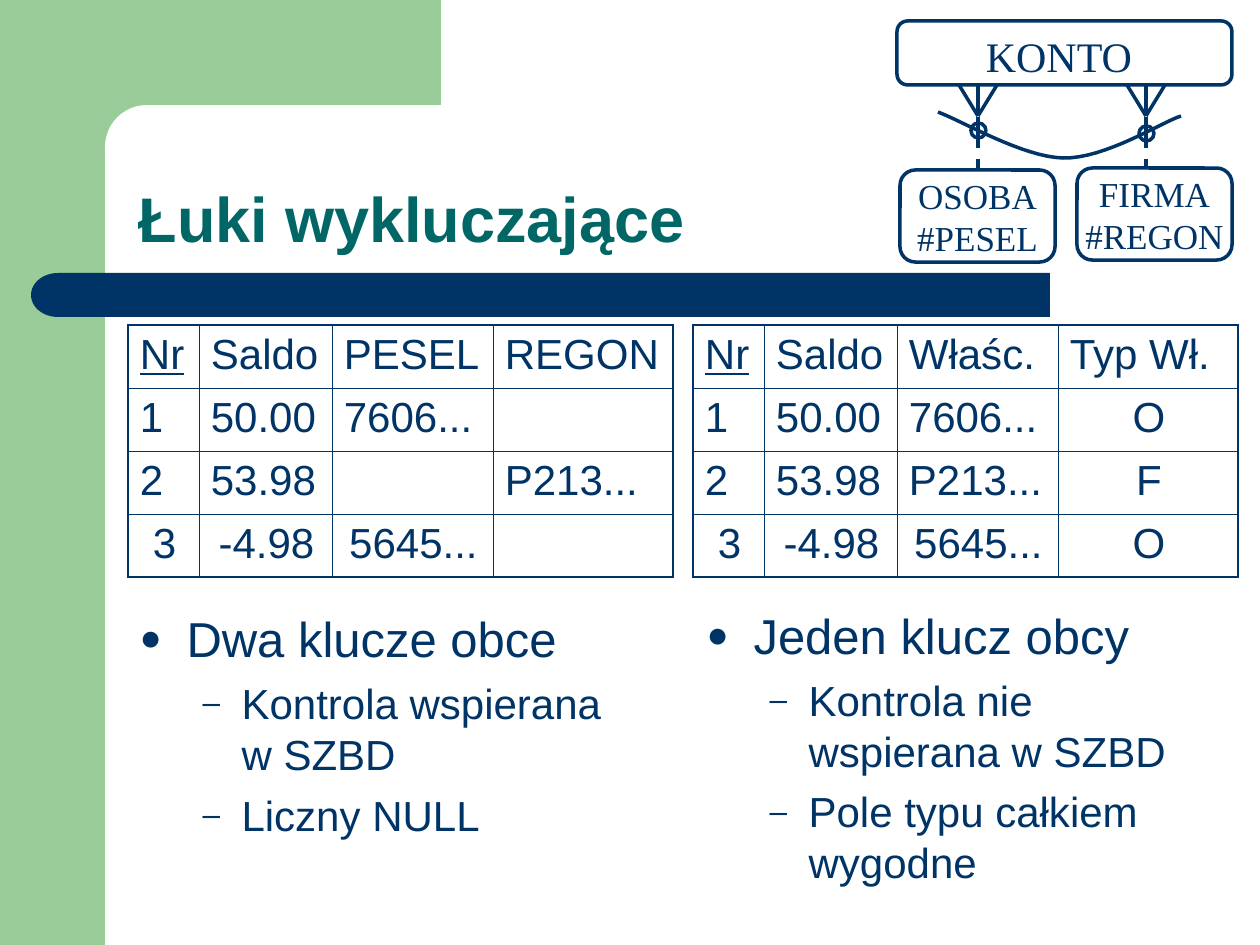
from lxml import etree
from pptx import Presentation
from pptx.dml.color import RGBColor
from pptx.enum.dml import MSO_LINE
from pptx.enum.shapes import MSO_CONNECTOR, MSO_SHAPE
from pptx.enum.text import MSO_ANCHOR, MSO_AUTO_SIZE, PP_ALIGN
from pptx.oxml.ns import qn
from pptx.util import Pt

RECT, ROUND, OVAL, DELAY = (MSO_SHAPE.RECTANGLE, MSO_SHAPE.ROUNDED_RECTANGLE,
                            MSO_SHAPE.OVAL, MSO_SHAPE.FLOWCHART_DELAY)
LEFT, CENTER = PP_ALIGN.LEFT, PP_ALIGN.CENTER
TOP, BOTTOM = MSO_ANCHOR.TOP, MSO_ANCHOR.BOTTOM
STRAIGHT, DASH, NO_FIT = MSO_CONNECTOR.STRAIGHT, MSO_LINE.DASH, MSO_AUTO_SIZE.NONE
PX = 914400 / 126
NAVY, TEAL, GREEN, WHITE = "003366", "006666", "99CC99", "FFFFFF"


def px(n):
    return round(n * PX)


def rgb(value):
    return RGBColor.from_string(value)


def write(p, text, size=24, font="Arial", color=NAVY, bold=False, underline=False,
          align=LEFT, before=0, spacing=1.0):
    p.alignment, p.line_spacing, p.space_before = align, spacing, Pt(before)
    r = p.add_run()
    r.text = text
    f = r.font
    f.size, f.name, f.bold, f.underline = Pt(size), font, bold, underline
    f.color.rgb = rgb(color)


def child(parent, tag, **attrs):
    return etree.SubElement(parent, qn(tag), attrs)


def bullet(p, char, margin, hang):
    pPr = p._p.get_or_add_pPr()
    pPr.set("marL", str(px(margin)))
    pPr.set("indent", str(-px(hang)))
    child(child(pPr, "a:buClr"), "a:srgbClr", val=NAVY)
    child(pPr, "a:buSzPct", val="75000")
    child(pPr, "a:buFont", typeface="Arial")
    child(pPr, "a:buChar", char=char)


def border(cell, sides):
    tcPr = cell._tc.get_or_add_tcPr()
    for i, (side, width) in enumerate(sides):
        ln = etree.Element(qn(f"a:ln{side}"), w=str(Pt(width)))
        child(child(ln, "a:solidFill"), "a:srgbClr", val=NAVY)
        tcPr.insert(i, ln)


def bezier(a, b, c, d, steps=16):
    for i in range(steps + 1):
        t = i / steps
        u = 1 - t
        yield tuple(u**3 * m + 3 * u * u * t * n + 3 * u * t * t * o + t**3 * q
                    for m, n, o, q in zip(a, b, c, d))


class Deck:
    """Draws styled elements on the current slide."""

    def __init__(self, slide, line_width=2):
        self.s, self.line_width = slide, line_width

    def outline(self, line):
        line.color.rgb, line.width = rgb(NAVY), Pt(self.line_width)

    def shape(self, kind, x, y, w, h, fill=None, line=False, corner=None, turn=0):
        sp = self.s.shapes.add_shape(kind, px(x), px(y), px(w), px(h))
        sp.shadow.inherit = False
        sp.rotation = turn
        if corner is not None:
            sp.adjustments[0] = corner
        if fill:
            sp.fill.solid()
            sp.fill.fore_color.rgb = rgb(fill)
        else:
            sp.fill.background()
        if line:
            self.outline(sp.line)
        else:
            sp.line.fill.background()
        return sp

    def entity(self, x, y, w, h, lines, size, top=0, right=2):
        tf = self.shape(ROUND, x, y, w, h, WHITE, True, 0.167).text_frame
        tf.word_wrap, tf.vertical_anchor = False, TOP
        tf.margin_left, tf.margin_right = px(2), px(right)
        tf.margin_top, tf.margin_bottom = px(top), px(6)
        for i, text in enumerate(lines):
            p = tf.add_paragraph() if i else tf.paragraphs[0]
            write(p, text, size=size, font="Times New Roman", align=CENTER)

    def line(self, x1, y1, x2, y2, dash=None):
        c = self.s.shapes.add_connector(STRAIGHT, px(x1), px(y1), px(x2), px(y2))
        self.outline(c.line)
        c.line.dash_style = dash
        child(c._element.spPr, "a:effectLst")

    def curve(self, points):
        fb = self.s.shapes.build_freeform(*map(px, points[0]))
        fb.add_line_segments([tuple(map(px, pt)) for pt in points[1:]], close=False)
        sp = fb.convert_to_shape()
        sp.shadow.inherit = False
        sp.fill.background()
        self.outline(sp.line)

    def relation(self, x, ring_y):
        self.shape(OVAL, x - 7, ring_y - 7, 15, 15, line=True)
        for dx in (-19, 0, 19):
            self.line(x + dx, 85, x, 116)
        self.line(x, 117, x, 145)
        self.line(x, 134, x, 195, DASH)

    def placeholder(self, idx, x, y, w, h, anchor=TOP):
        sp = self.s.placeholders[idx]
        self.s.shapes.element.append(sp.element)
        sp.left, sp.top, sp.width, sp.height = px(x), px(y), px(w), px(h)
        tf = sp.text_frame
        tf.word_wrap, tf.auto_size, tf.vertical_anchor = True, NO_FIT, anchor
        return tf

    def title(self, text, *box):
        tf = self.placeholder(0, *box, anchor=BOTTOM)
        write(tf.paragraphs[0], text, size=36, color=TEAL, bold=True, spacing=0.9)

    def bullets(self, idx, x, y, head, items):
        tf = self.placeholder(idx, x, y, 512, 318)
        p = tf.paragraphs[0]
        write(p, head, size=28, before=7)
        bullet(p, "●", 47, 47)
        for text in items:
            p = tf.add_paragraph()
            p.level = 1
            write(p, text, before=6)
            bullet(p, "–", 102, 39)

    def table(self, x, y, widths, row_h, rows, centered):
        n, m = len(rows), len(widths)
        frame = self.s.shapes.add_table(n, m, px(x), px(y), px(sum(widths)), px(row_h * n))
        tbl = frame.table
        for col, w in zip(tbl.columns, widths):
            col.width = px(w)
        for i, row in enumerate(rows):
            tbl.rows[i].height = px(row_h)
            for j, text in enumerate(row):
                cell = tbl.cell(i, j)
                cell.margin_left, cell.margin_right = px(12), px(10)
                cell.fill.background()
                edges = zip("LRTB", (j == 0, j == m - 1, i == 0, i == n - 1))
                border(cell, [(side, 1.08 if outer else 0.45) for side, outer in edges])
                middle = i == n - 1 or (i > 0 and j in centered)
                write(cell.text_frame.paragraphs[0], text, before=6,
                      underline=i == j == 0, align=CENTER if middle else LEFT)


def main():
    prs = Presentation()
    prs.slide_width, prs.slide_height = px(1260), px(945)
    d = Deck(prs.slides.add_slide(prs.slide_layouts[3]))

    d.shape(RECT, 0, 0, 105, 945, GREEN)
    d.shape(RECT, 94, 0, 347, 147, GREEN)
    d.shape(ROUND, 105, 105, 703, 84, WHITE, corner=0.5)
    d.shape(ROUND, 84, 273, 966, 44, NAVY, corner=0)
    d.shape(DELAY, 31, 273, 54, 44, NAVY, turn=180)

    d.title("Łuki wykluczające", 126, 105, 1102, 157)
    d.bullets(1, 127, 602, "Dwa klucze obce", ["Kontrola wspierana w SZBD", "Liczny NULL"])

    d.entity(897, 21, 335, 64, ["KONTO"], 24, top=6, right=13)
    d.curve([*bezier((1181, 116), (1162, 122), (1105, 159), (1063, 158)),
             *bezier((1063, 158), (1023, 157), (964, 122), (938, 112))])
    d.relation(978, 130)
    d.relation(1146, 133)
    d.entity(1077, 168, 155, 92, ["FIRMA", "#REGON"], 20)
    d.entity(900, 170, 155, 92, ["OSOBA", "#PESEL"], 20)

    widths = [71, 133, 161, 180]
    d.table(128, 325, widths, 63, [["Nr", "Saldo", "PESEL", "REGON"],
                                   ["1", "50.00", "7606...", ""],
                                   ["2", "53.98", "", "P213..."],
                                   ["3", "-4.98", "5645...", ""]], centered=())
    d.table(693, 325, widths, 63, [["Nr", "Saldo", "Właśc.", "Typ Wł."],
                                   ["1", "50.00", "7606...", "O"],
                                   ["2", "53.98", "P213...", "F"],
                                   ["3", "-4.98", "5645...", "O"]], centered=(3,))
    d.bullets(2, 694, 599, "Jeden klucz obcy",
              ["Kontrola nie wspierana w SZBD", "Pole typu całkiem wygodne"])
    prs.save("out.pptx")


if __name__ == "__main__":
    main()
